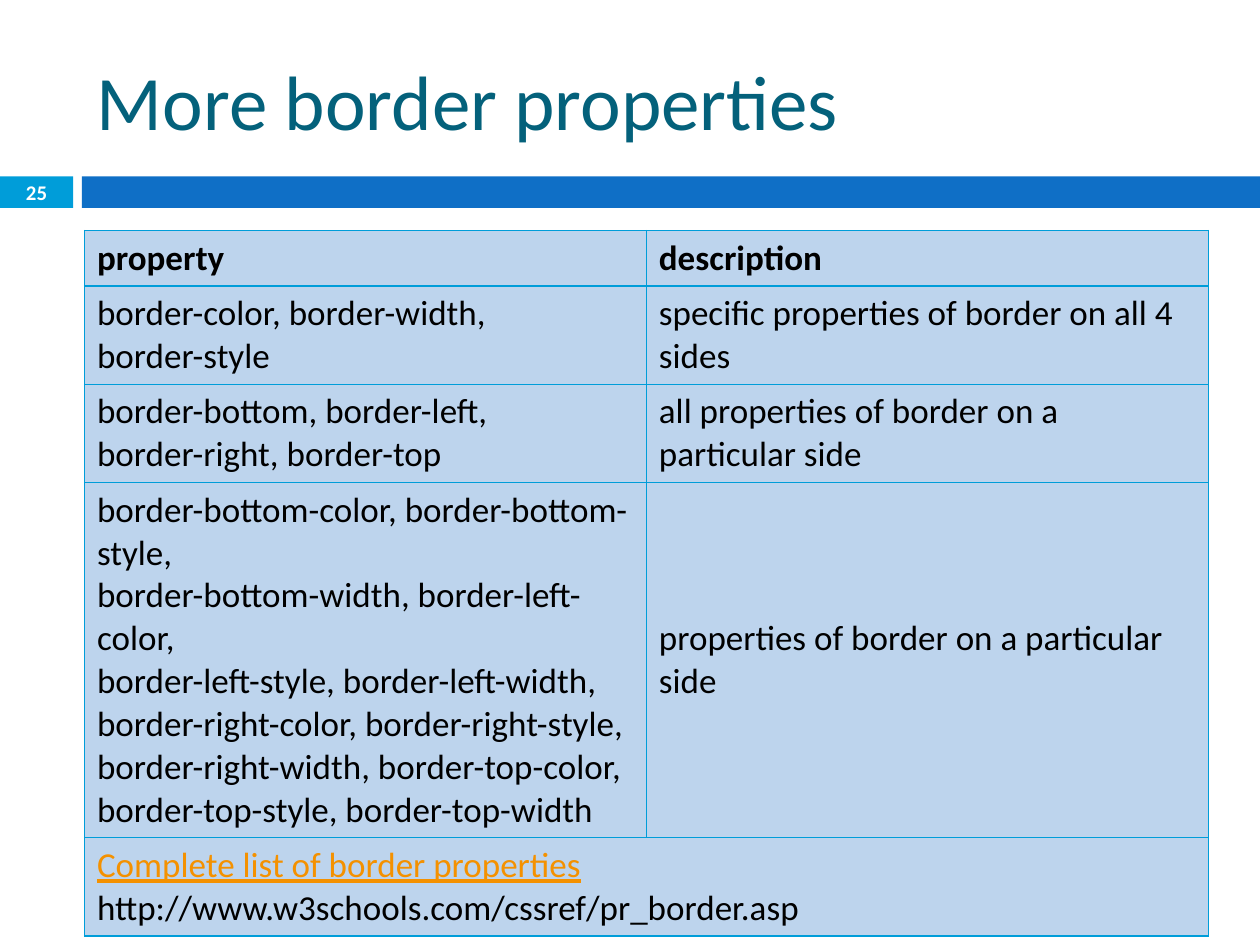
from lxml.etree import SubElement
from pptx import Presentation
from pptx.dml.color import RGBColor
from pptx.enum.shapes import MSO_SHAPE
from pptx.enum.text import MSO_ANCHOR, PP_ALIGN
from pptx.oxml.ns import qn
from pptx.util import Inches, Pt

CYAN, BLUE, TEAL, PALE = "009DD9", "0F6FC6", "04617B", "BDD4ED"
ORANGE, BLACK, WHITE = "F49100", "000000", "FFFFFF"


def set_font(p, size, color, bold=False):
    for r in p.runs:
        r.font.name = "Calibri"
        r.font.size = Pt(size)
        r.font.bold = bold
        r.font.color.rgb = RGBColor.from_string(color)


def style_cell(cell):
    """Give a cell thin borders on all sides and a pale fill."""
    tcPr = cell._tc.get_or_add_tcPr()
    for side in ("a:lnL", "a:lnR", "a:lnT", "a:lnB"):
        ln = SubElement(tcPr, qn(side), w=str(Pt(0.79)))
        SubElement(SubElement(ln, qn("a:solidFill")), qn("a:srgbClr"), val=CYAN)
    cell.fill.solid()
    cell.fill.fore_color.rgb = RGBColor.from_string(PALE)
    cell.vertical_anchor = MSO_ANCHOR.MIDDLE


prs = Presentation()
prs.slide_width, prs.slide_height = Inches(10), Inches(7.5)
s = prs.slides.add_slide(prs.slide_layouts[6])

# Band under the title
for left, width, color in [(0, 0.58, CYAN), (0.65, 9.35, BLUE)]:
    sp = s.shapes.add_shape(MSO_SHAPE.RECTANGLE, Inches(left), Inches(1.4),
                            Inches(width), Inches(0.25))
    sp.shadow.inherit = False
    sp.fill.solid()
    sp.fill.fore_color.rgb = RGBColor.from_string(color)
    sp.line.fill.background()

# Title and slide number
for text, box, size, color, bold, align, margin in [
    ("More border properties", (0.67, 0.25, 8.92, 1.08), 44, TEAL, False, PP_ALIGN.LEFT, 0.1),
    ("25", (0, 1.39, 0.58, 0.27), 11.9, WHITE, True, PP_ALIGN.CENTER, 0),
]:
    tf = s.shapes.add_textbox(*map(Inches, box)).text_frame
    tf.word_wrap = True
    tf.vertical_anchor = MSO_ANCHOR.MIDDLE
    tf.margin_left = tf.margin_right = Inches(margin)
    tf.margin_top = tf.margin_bottom = 0
    tf.text = text
    tf.paragraphs[0].alignment = align
    set_font(tf.paragraphs[0], size, color, bold)

# Property table; \v is a line break inside a paragraph
rows = [
    (0.44, "property", "description"),
    (0.78, "border-color, border-width, \vborder-style",
     "specific properties of border on all 4 sides"),
    (0.78, "border-bottom, border-left, \vborder-right, border-top",
     "all properties of border on a particular side"),
    (2.82, "border-bottom-color, border-bottom-style, \v"
           "border-bottom-width, border-left-color, \v"
           "border-left-style, border-left-width, \v"
           "border-right-color, border-right-style, \v"
           "border-right-width, border-top-color, \v"
           "border-top-style, border-top-width",
     "properties of border on a particular side"),
    (0.78, "Complete list of border properties", ""),
]
table = s.shapes.add_table(len(rows), 2, Inches(0.67), Inches(1.83),
                           Inches(8.92), Inches(5.6)).table
for i, (height, *texts) in enumerate(rows):
    table.rows[i].height = Inches(height)
    for j, text in enumerate(texts):
        cell = table.cell(i, j)
        style_cell(cell)
        if text:
            cell.text_frame.text = text
            set_font(cell.text_frame.paragraphs[0], 20, BLACK, bold=i == 0)

# Last row spans both columns: underlined title, then its address
last = table.cell(len(rows) - 1, 0)
last.merge(table.cell(len(rows) - 1, 1))
p = last.text_frame.paragraphs[0]
p.add_run().text = " http://www.w3schools.com/cssref/pr_border.asp"
set_font(p, 20, BLACK)
p.runs[0].font.underline = True
p.runs[0].font.color.rgb = RGBColor.from_string(ORANGE)

prs.save("out.pptx")
